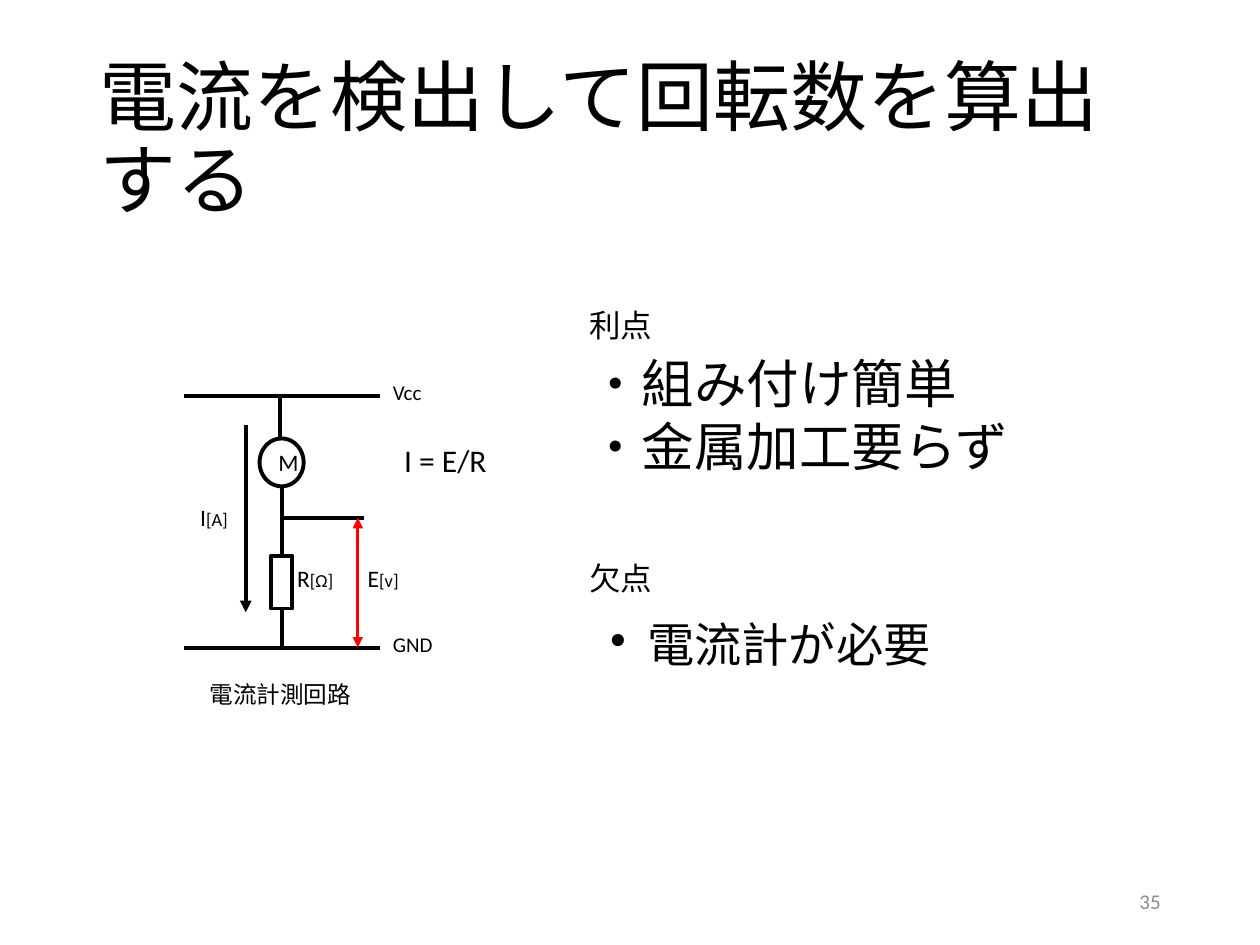
from lxml.etree import SubElement
from pptx import Presentation
from pptx.dml.color import RGBColor
from pptx.enum.shapes import MSO_CONNECTOR, MSO_SHAPE
from pptx.enum.text import MSO_ANCHOR, PP_ALIGN
from pptx.oxml.ns import qn
from pptx.util import Inches, Pt

COLS, ROWS = 100, 75
UNIT = Inches(0.1)
BLACK, RED, GREY = "000000", "FF0000", "8C8C8C"


def grid(*vals):
    return [round(val * UNIT) for val in vals]


def color(code):
    return RGBColor.from_string(code)


def within(box, x, y):
    return box[0] + x, box[1] + y


def write(frame, lines, size=18, fill=BLACK, align=PP_ALIGN.LEFT,
          anchor=MSO_ANCHOR.TOP, space=None):
    frame.word_wrap = True
    frame.vertical_anchor = anchor
    for i, line in enumerate(lines):
        para = frame.paragraphs[0] if i == 0 else frame.add_paragraph()
        para.alignment = align
        para.line_spacing = space
        for part in line:
            word, pts = part if isinstance(part, tuple) else (part, size)
            run = para.add_run()
            run.text = word
            run.font.name = "Calibri"
            run.font.size = Pt(pts)
            run.font.color.rgb = color(fill)


def label(slide, box, *lines, **form):
    area = slide.shapes.add_textbox(*grid(*box))
    write(area.text_frame, lines, **form)


def wire(slide, box, start, stop, fill=BLACK, width=2.25, ends=()):
    line = slide.shapes.add_connector(
        MSO_CONNECTOR.STRAIGHT, *grid(*within(box, *start), *within(box, *stop)))
    line.line.color.rgb = color(fill)
    line.line.width = Pt(width)
    for end in ends:
        SubElement(line.line._get_or_add_ln(), qn("a:" + end), type="triangle")
    SubElement(line._element.spPr, qn("a:effectLst"))
    return line


def part(slide, box, kind, x, y, w, h):
    shape = slide.shapes.add_shape(kind, *grid(*within(box, x, y), w, h))
    shape.shadow.inherit = False
    shape.fill.background()
    shape.line.color.rgb = color(BLACK)
    shape.line.width = Pt(2.25)
    return shape


def title(slide, box):
    label(slide, box, ["電流を検出して回転数を算出する"], size=44,
          anchor=MSO_ANCHOR.MIDDLE, space=0.9)


def footer(slide, box):
    label(slide, box, ["35"], size=12, fill=GREY,
          align=PP_ALIGN.RIGHT, anchor=MSO_ANCHOR.MIDDLE)


def circuit(slide, box):
    top, tap, base = 1.8, 11.5, 21.8
    mid, probe, flow = 9.65, 15.7, 6.8

    for y, name in ((top, "Vcc"), (base, "GND")):
        wire(slide, box, (1.9, y), (17.5, y))
        label(slide, (*within(box, 17.5, y - 1.75), 5.8, 3), [name], size=12)

    motor = part(slide, box, MSO_SHAPE.OVAL, 7.9, 5.2, 3.5, 3.8)
    write(motor.text_frame, [["M"]], size=13.5,
          align=PP_ALIGN.CENTER, anchor=MSO_ANCHOR.MIDDLE)
    load = part(slide, box, MSO_SHAPE.RECTANGLE, 8.8, 14.5, 1.7, 4.2)

    wire(slide, box, (9.5, top), (9.5, 5.1))
    wire(slide, box, (mid, 9), (mid, 14.5)).end_connect(load, 0)
    wire(slide, box, (mid, 18.7), (mid, base)).begin_connect(load, 2)
    wire(slide, box, (mid, tap), (16.2, tap))
    wire(slide, box, (probe, tap), (probe, base), fill=RED, width=1.5,
         ends=("headEnd", "tailEnd"))
    wire(slide, box, (flow, 4.1), (flow, 19), ends=("tailEnd",))

    for x, y, name, unit in ((9.9, 14.7, "R", "[Ω]"),
                             (15.5, 14.7, "E", "[v]"),
                             (2.2, 9.8, "I", "[A]")):
        label(slide, (*within(box, x, y), 6, 3.3), [name, (unit, 10.5)], size=13.5)

    label(slide, (*within(box, 0, 23.9), 19.1, 3.3), ["電流計測回路"],
          size=13.5, align=PP_ALIGN.CENTER)
    label(slide, (*within(box, 16.8, 4.9), 11.7, 4), ["I = E/R"],
          align=PP_ALIGN.CENTER)


def points(slide, box, head, *lines, size):
    x, y, w, h = box
    label(slide, (x, y, 7.2, 4), [head])
    label(slide, (x, y + 3.6, w, h - 3.6), *lines, size=size)


def main():
    deck = Presentation()
    deck.slide_width, deck.slide_height = grid(COLS, ROWS)
    slide = deck.slides.add_slide(deck.slide_layouts[6])
    title(slide, (6.9, 4, 86.2, 14.5))
    footer(slide, (70.6, 69.5, 22.5, 4))
    circuit(slide, (12.7, 29.6))
    points(slide, (45.8, 23.8, 37.5, 14.7), "利点",
           ["・組み付け簡単"], ["・金属加工要らず"], size=30)
    points(slide, (45.8, 43.9, 40.7, 10.2), "欠点",
           [("・", 33), "電流計が必要"], size=27)
    deck.save("out.pptx")


if __name__ == "__main__":
    main()
